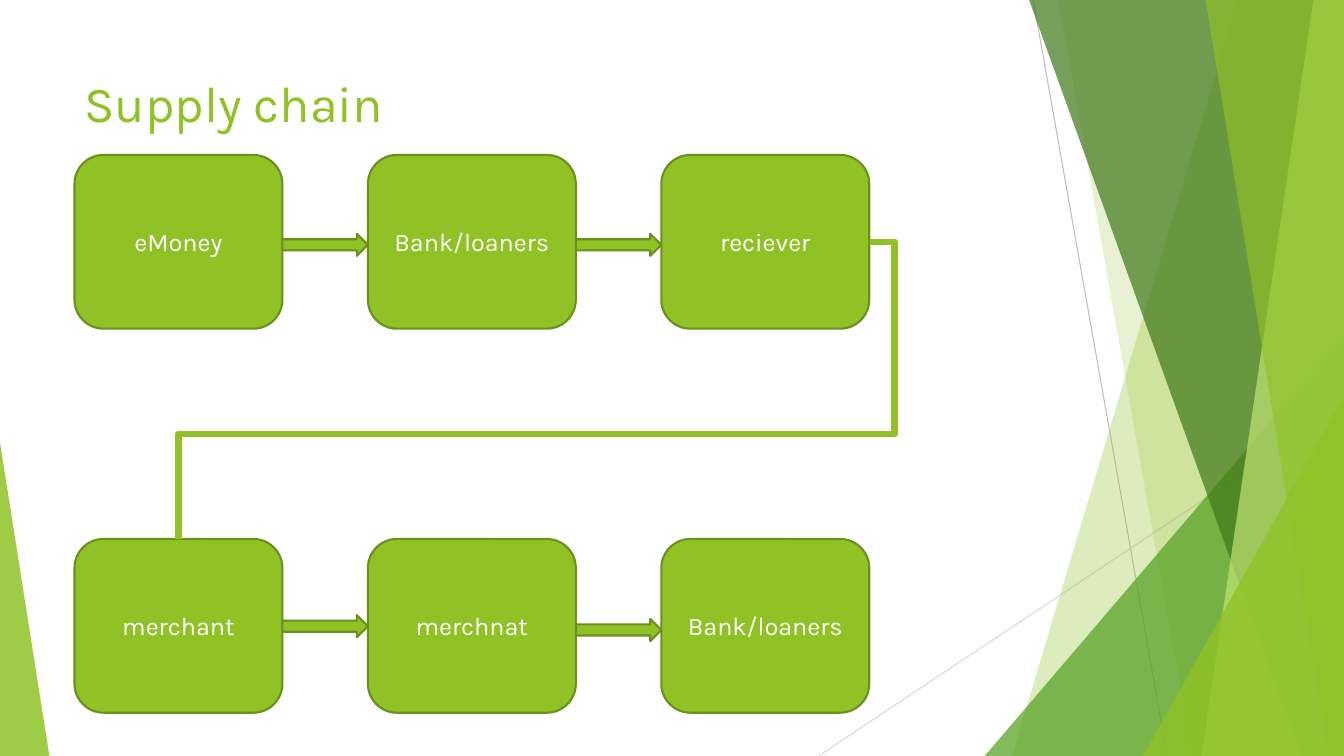
"""Build the supply chain slide: six stages in two rows on a faceted green backdrop."""
from lxml.etree import SubElement
from pptx import Presentation
from pptx.dml.color import RGBColor
from pptx.enum.shapes import MSO_CONNECTOR as Link, MSO_SHAPE as Shape
from pptx.enum.text import MSO_ANCHOR as Anchor, PP_ALIGN as Align
from pptx.oxml.ns import qn
from pptx.util import Pt

TITLE = "Supply chain"
STAGES = [
    ["eMoney", "Bank/loaners", "reciever"],
    ["merchant", "merchnat", "Bank/loaners"],
]
THEME = {
    "font": "Karla", "title": 36, "stage": 18,
    "green": "90C226", "edge": "6B901C", "leaf": "54A021", "forest": "3F7819",
    "lime": "C0E474", "white": "FFFFFF", "grey": "BFBFBF", "mist": "D9D9D9",
}
WIDTH, HEIGHT = 960, 540
HAIRLINES = [((738, 0), (833.8, HEIGHT), "grey"), ((WIDTH, 290.2), (584.6, HEIGHT), "mist")]
FACETS = [
    ("band", (884.2, 722.9), "green", 30),
    ("band", (756, 851.8), "green", 20),
    ("peak", (703.4, 239.8, 256.6, 1), "leaf", 72),
    ("band", (735.1, 929.5), "forest", 70),
    ("band", (938.2, 858.2), "lime", 70),
    ("band", (861.1, 949), "green", 65),
    ("peak", (816.5, 283, 143.5, 1), "green", 80),
    ("peak", (0, 316.1, 35.3, 0), "green", 85),
]
LEFT, PITCH, STAGE_W, STAGE_H = 53.2, 209.6, 148.5, 124.1
ROW_TOPS = [110.7, 385]
ARROW_H, ARROW_TOPS = 15.8, [(167, 167), (439.4, 442.1)]
RETURN_START, RETURN_END = (621.2, 172.8), (127.5, 385)
RETURN_BENDS = {"adj1": -3600, "adj2": 64600}


def color(name):
    return RGBColor.from_string(THEME[name])


def apply(target, formats):
    for key, value in formats.items():
        setattr(target, key, value)


def paint(shape, fill, alpha=100, edge=None):
    shape.shadow.inherit = False
    shape.fill.solid()
    shape.fill.fore_color.rgb = color(fill)
    if alpha < 100:
        tint = shape.fill._xPr.find(qn("a:solidFill"))[0]
        SubElement(tint, qn("a:alpha"), val=str(alpha * 1000))
    if edge:
        shape.line.color.rgb = color(edge)
        shape.line.width = Pt(1.5)
    else:
        shape.line.fill.background()


def add_preset(kind, *box):
    return slide.shapes.add_shape(kind, *map(Pt, box))


def write(shape, text, size, ink, align, anchor):
    frame = shape.text_frame
    apply(frame, {"word_wrap": True, "vertical_anchor": anchor})
    paragraph = frame.paragraphs[0]
    paragraph.alignment = align
    run = paragraph.add_run()
    run.text = text
    apply(run.font, {"name": THEME["font"], "size": Pt(THEME[size])})
    run.font.color.rgb = color(ink)


def add_line(kind, start, end, ink, weight):
    line = slide.shapes.add_connector(kind, *map(Pt, start + end))
    line.line.color.rgb = color(ink)
    line.line.width = Pt(weight)
    SubElement(line._element.spPr, qn("a:effectLst"))
    return line


def add_band(top_x, bottom_x):
    outline = slide.shapes.build_freeform(Pt(top_x), 0)
    corners = [(WIDTH, 0), (WIDTH, HEIGHT), (bottom_x, HEIGHT)]
    outline.add_line_segments([(Pt(x), Pt(y)) for x, y in corners])
    return outline.convert_to_shape()


def add_peak(left, top, width, apex):
    peak = add_preset(Shape.ISOSCELES_TRIANGLE, left, top, width, HEIGHT - top)
    peak.adjustments[0] = apex
    return peak


deck = Presentation()
apply(deck, {"slide_width": Pt(WIDTH), "slide_height": Pt(HEIGHT)})
slide = deck.slides.add_slide(deck.slide_layouts[6])

for start, end, ink in HAIRLINES:
    add_line(Link.STRAIGHT, start, end, ink, 0.75)
for form, measures, fill, alpha in FACETS:
    facet = add_band(*measures) if form == "band" else add_peak(*measures)
    paint(facet, fill, alpha)

heading = slide.shapes.add_textbox(*map(Pt, (LEFT, 48.2, 676.8, 59)))
write(heading, TITLE, "title", "green", Align.LEFT, Anchor.TOP)

for names, top, arrow_tops in zip(STAGES, ROW_TOPS, ARROW_TOPS):
    for column, name in enumerate(names):
        stage = add_preset(Shape.ROUNDED_RECTANGLE, LEFT + column * PITCH, top, STAGE_W, STAGE_H)
        paint(stage, "green", edge="edge")
        write(stage, name, "stage", "white", Align.CENTER, Anchor.MIDDLE)
    for column, arrow_top in enumerate(arrow_tops):
        arrow = add_preset(Shape.RIGHT_ARROW, LEFT + column * PITCH + STAGE_W, arrow_top,
                           PITCH - STAGE_W, ARROW_H)
        paint(arrow, "green", edge="edge")

return_path = add_line(Link.ELBOW, RETURN_START, RETURN_END, "green", 4.5)
geometry = return_path._element.spPr.find(qn("a:prstGeom"))
geometry.set("prst", "bentConnector4")
bends = geometry.find(qn("a:avLst"))
for name, value in RETURN_BENDS.items():
    SubElement(bends, qn("a:gd"), name=name, fmla=f"val {value}")

deck.save("out.pptx")
